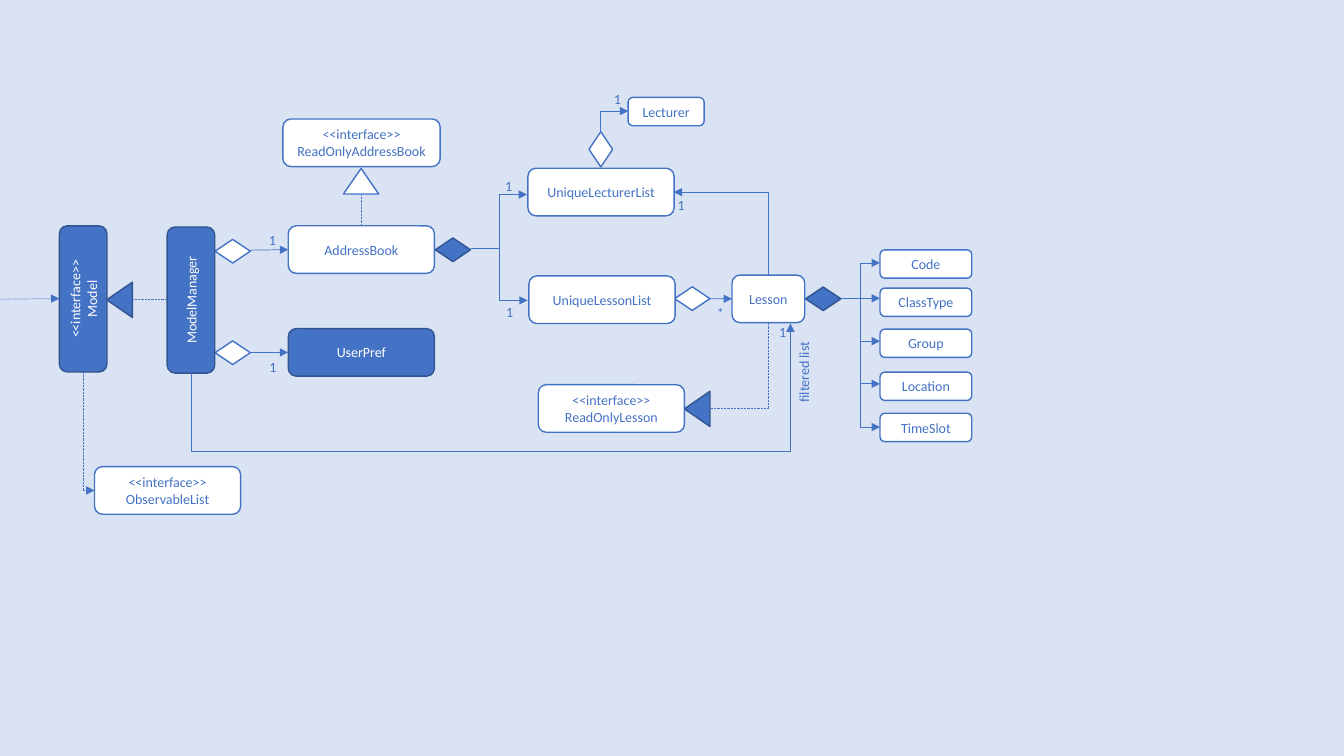
from dataclasses import dataclass

from lxml import etree
from pptx import Presentation
from pptx import util as u
from pptx.dml import color
from pptx.enum import dml, shapes, text
from pptx.oxml import ns


@dataclass(frozen=True)
class Theme:
    background: str = "DAE3F3"
    accent: str = "4472C4"
    dark: str = "325491"
    white: str = "FFFFFF"
    font: str = "Calibri"
    size: float = 10
    outline: float = 1
    link: float = 0.5


theme = Theme()
INTERFACE = "<<interface>>"
CLASS_SIZE, SMALL_SIZE = (104.4, 34), (65.5, 20.2)

# Content: name, stereotype, left, top, size, solid fill, rotation
boxes = [
    ("Model", INTERFACE, 7.2, 196.5, CLASS_SIZE, True, 270),
    ("ModelManager", None, 84.2, 197.3, CLASS_SIZE, True, 270),
    ("AddressBook", None, 205.9, 161.3, CLASS_SIZE, False, 0),
    ("UserPref", None, 205.9, 234.7, CLASS_SIZE, True, 0),
    ("ReadOnlyAddressBook", INTERFACE, 202.1, 85, (112.3, 34), False, 0),
    ("UniqueLecturerList", None, 377.1, 120.2, CLASS_SIZE, False, 0),
    ("UniqueLessonList", None, 377.8, 197.1, CLASS_SIZE, False, 0),
    ("Lecturer", None, 448.7, 69.6, (54.3, 20.2), False, 0),
    ("Lesson", None, 522.9, 196.5, (52, 34), False, 0),
    ("ReadOnlyLesson", INTERFACE, 384.5, 274.8, CLASS_SIZE, False, 0),
    ("ObservableList", INTERFACE, 67.5, 333.3, CLASS_SIZE, False, 0),
]
attributes = [("Code", 178.5), ("ClassType", 205.8), ("Group", 235.1),
              ("Location", 265.8), ("TimeSlot", 295.2)]
ATTRIBUTE_LEFT, TRUNK = 628.6, 614.9
boxes += [(name, None, ATTRIBUTE_LEFT, top, SMALL_SIZE, False, 0)
          for name, top in attributes]

# Left, top, solid fill, rotation
diamonds = [(153.6, 243.5, False, 0), (153.6, 171, False, 0),
            (310.9, 170, True, 0), (416.6, 98.2, False, 270),
            (481.9, 204.9, False, 0), (575.4, 205, True, 0)]
triangles = [(72.8, 205, True, 270), (245.3, 120.3, False, 0),
             (485.4, 282.9, True, 270)]
DIAMOND_SIZE, TRIANGLE_SIZE = (25.2, 16.9), (25.2, 18.3)

# Begin, end, dotted, arrowhead; an end is a point or (box name, side)
straight_links = [
    ((-8.6, 213.8), (42.4, 213.3), True, True),
    ((94.3, 213.9), (119.5, 213.9), True, False),
    ((179, 178.7), ("AddressBook", 1), False, True),
    ((178.8, 251.8), ("UserPref", 1), False, True),
    ((258.1, 139.5), ("AddressBook", 0), True, False),
    ((507.1, 213.4), ("Lesson", 1), False, True),
    ((601, 213.1), (ATTRIBUTE_LEFT, 213.1), False, True),
]
# Begin, end, dotted, arrowhead, bend position as share of the width
elbow_links = [
    ((336.7, 177.7), (376.4, 139), False, True, 0.5),
    ((336.7, 177.7), (376.9, 214.6), False, True, 0.5),
    ((429, 94.3), (448.7, 79.4), False, True, 0),
    ((549, 230.5), (507, 291.8), True, False, 0),
    ((59.3, 265.6), (67.5, 350.3), True, True, 0),
    ((549, 196.5), (481.3, 137.3), False, True, 0),
]
branches = [(213.4, 187.8), (213.4, 243.7), (243.7, 274.2), (274.2, 305.1)]
elbow_links += [((TRUNK, start), (ATTRIBUTE_LEFT, stop), False, True, 0)
                for start, stop in branches]
filter_begin, filter_end, FILTER_FLOOR = (136.8, 266.4), (564.6, 231.1), 322.5

# Wording, left, top, width, rotation
labels = [
    ("1", 185, 162, 17.3, 0), ("1", 185.3, 252.2, 17.3, 0),
    ("1", 549.4, 227.8, 17.3, 0), ("1", 476.9, 137, 17.3, 0),
    ("1", 353.7, 123.4, 17.3, 0), ("1", 354.4, 213.3, 17.3, 0),
    ("1", 431.5, 61.2, 17.3, 0), ("*", 505, 213.8, 17.3, 0),
    ("filtered list", 543.9, 254.5, 60.5, 270),
]
LABEL_HEIGHT = 19.4


def rgb(value):
    return color.RGBColor.from_string(value)


def write(frame, lines, ink, alignment):
    for index, line in enumerate(lines):
        paragraph = frame.paragraphs[0] if index == 0 else frame.add_paragraph()
        paragraph.alignment = alignment
        run = paragraph.add_run()
        run.text = line
        run.font.name, run.font.size = theme.font, u.Pt(theme.size)
        run.font.color.rgb = rgb(ink)


def add_node(preset, left, top, size, solid, rotation):
    shape = slide.shapes.add_shape(preset, *map(u.Pt, (left, top, *size)))
    shape.rotation = rotation
    shape.shadow.inherit = False
    shape.fill.solid()
    shape.fill.fore_color.rgb = rgb(theme.accent if solid else theme.white)
    shape.line.color.rgb = rgb(theme.dark if solid else theme.accent)
    shape.line.width = u.Pt(theme.outline)
    return shape


def add_link(kind, begin, end, dotted, arrow):
    joined = [isinstance(place[0], str) for place in (begin, end)]
    points = [(0, 0) if join else place for join, place in zip(joined, (begin, end))]
    link = slide.shapes.add_connector(kind, *map(u.Pt, points[0] + points[1]))
    for join, place, connect in zip(joined, (begin, end),
                                    (link.begin_connect, link.end_connect)):
        if join:
            connect(nodes[place[0]], place[1])
    link.line.color.rgb = rgb(theme.accent)
    link.line.width = u.Pt(theme.link)
    if dotted:
        link.line.dash_style = dml.MSO_LINE.ROUND_DOT
    properties = link._element.spPr
    if arrow:
        outline = properties.find(ns.qn("a:ln"))
        etree.SubElement(outline, ns.qn("a:tailEnd"), type="triangle")
    etree.SubElement(properties, ns.qn("a:effectLst"))
    return link


def bend(link, preset, **shares):
    geometry = link._element.spPr.find(ns.qn("a:prstGeom"))
    geometry.set("prst", preset)
    guides = geometry.find(ns.qn("a:avLst"))
    if guides is None:
        guides = etree.SubElement(geometry, ns.qn("a:avLst"))
    for name, share in shares.items():
        etree.SubElement(guides, ns.qn("a:gd"), name=name,
                         fmla=f"val {round(share * 100000)}")


presentation = Presentation()
presentation.slide_width, presentation.slide_height = u.Pt(960), u.Pt(540)
slide = presentation.slides.add_slide(presentation.slide_layouts[6])
slide.background.fill.solid()
slide.background.fill.fore_color.rgb = rgb(theme.background)

# Relationship symbols
for preset, size, symbols in (
        (shapes.MSO_SHAPE.DIAMOND, DIAMOND_SIZE, diamonds),
        (shapes.MSO_SHAPE.ISOSCELES_TRIANGLE, TRIANGLE_SIZE, triangles)):
    for left, top, solid, rotation in symbols:
        add_node(preset, left, top, size, solid, rotation)

# Class boxes
nodes = {}
for name, stereotype, left, top, size, solid, rotation in boxes:
    node = add_node(shapes.MSO_SHAPE.ROUNDED_RECTANGLE, left, top, size, solid, rotation)
    node.text_frame.word_wrap = True
    node.text_frame.vertical_anchor = text.MSO_ANCHOR.MIDDLE
    write(node.text_frame, [stereotype, name] if stereotype else [name],
          theme.white if solid else theme.accent, text.PP_ALIGN.CENTER)
    nodes[name] = node

# Links
for begin, end, dotted, arrow in straight_links:
    add_link(shapes.MSO_CONNECTOR.STRAIGHT, begin, end, dotted, arrow)
for begin, end, dotted, arrow, share in elbow_links:
    link = add_link(shapes.MSO_CONNECTOR.ELBOW, begin, end, dotted, arrow)
    bend(link, "bentConnector3", adj1=share)
link = add_link(shapes.MSO_CONNECTOR.ELBOW, filter_begin, filter_end, False, True)
drop = (FILTER_FLOOR - filter_begin[1]) / (filter_end[1] - filter_begin[1])
bend(link, "bentConnector4", adj1=0, adj2=drop)

# Multiplicities and the filter label
for wording, left, top, width, rotation in labels:
    label = slide.shapes.add_textbox(*map(u.Pt, (left, top, width, LABEL_HEIGHT)))
    label.rotation = rotation
    label.text_frame.word_wrap = False
    label.text_frame.auto_size = text.MSO_AUTO_SIZE.SHAPE_TO_FIT_TEXT
    write(label.text_frame, [wording], theme.accent, text.PP_ALIGN.LEFT)

presentation.save("out.pptx")
